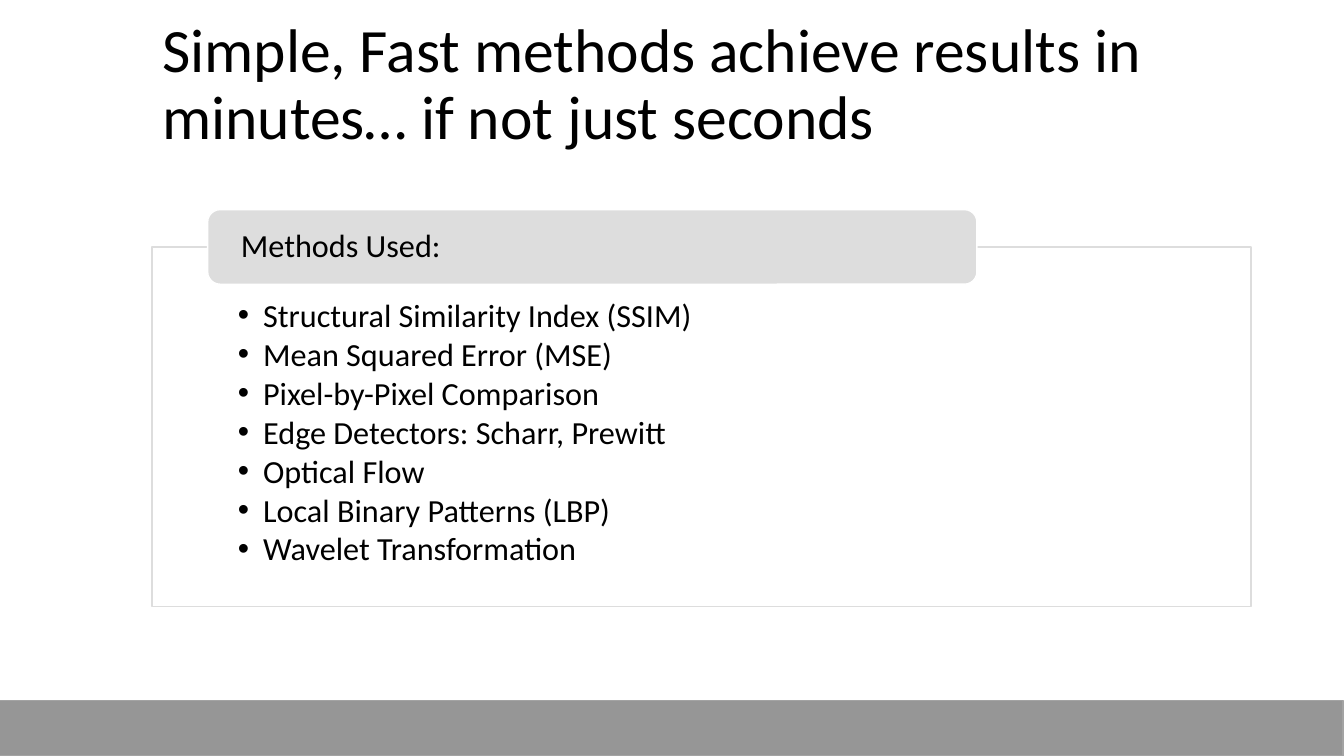
from dataclasses import dataclass

import pptx
import pptx.dml.color
import pptx.enum.shapes
import pptx.enum.text
import pptx.oxml.ns
import pptx.util
from lxml import etree

EMU_PER_PX = 9144  # 100 px to the inch
COLORS = {"text": "000000", "white": "FFFFFF", "pale": "DDDDDD",
          "footer": "969696", "footer_line": "A3A3A3"}
FONT = "Calibri"
SHAPES = pptx.enum.shapes.MSO_SHAPE
ANCHORS = pptx.enum.text.MSO_ANCHOR
METHODS = [
    "Structural Similarity Index (SSIM)",
    "Mean Squared Error (MSE)",
    "Pixel-by-Pixel Comparison",
    "Edge Detectors: Scharr, Prewitt",
    "Optical Flow",
    "Local Binary Patterns (LBP)",
    "Wavelet Transformation",
]


@dataclass(frozen=True)
class Area:
    left: int
    top: int
    width: int
    height: int

    def emu(self) -> list[pptx.util.Emu]:
        return [px(n) for n in (self.left, self.top, self.width, self.height)]


@dataclass(frozen=True)
class Panel:
    area: Area
    kind: SHAPES
    fill: str
    line: str
    opacity: int = 100


PANELS = [
    Panel(Area(-1, 695, 1333, 55), SHAPES.RECTANGLE, "footer", "footer_line"),
    Panel(Area(151, 245, 1090, 357), SHAPES.RECTANGLE, "white", "pale", opacity=90),
    Panel(Area(206, 208, 763, 74), SHAPES.ROUNDED_RECTANGLE, "pale", "white"),
]


def px(length: int) -> pptx.util.Emu:
    return pptx.util.Emu(length * EMU_PER_PX)


def color(name: str) -> pptx.dml.color.RGBColor:
    return pptx.dml.color.RGBColor.from_string(COLORS[name])


def add_panel(page, panel: Panel) -> None:
    shape = page.shapes.add_shape(panel.kind, *panel.area.emu())
    shape.shadow.inherit = False
    shape.fill.solid()
    shape.fill.fore_color.rgb = color(panel.fill)
    shape.line.color.rgb = color(panel.line)
    shape.line.width = pptx.util.Pt(1)
    if panel.opacity < 100:
        tag = pptx.oxml.ns.qn("a:srgbClr")
        fill = shape.fill._xPr.find(pptx.oxml.ns.qn("a:solidFill")).find(tag)
        etree.SubElement(fill, pptx.oxml.ns.qn("a:alpha"), val=str(panel.opacity * 1000))


def add_bullet(para, indent: int) -> None:
    properties = para._p.get_or_add_pPr()
    properties.set("marL", str(px(indent)))
    properties.set("indent", str(px(-indent)))
    etree.SubElement(properties, pptx.oxml.ns.qn("a:buFont"), typeface="Arial")
    etree.SubElement(properties, pptx.oxml.ns.qn("a:buChar"), char="•")


def add_text(page, area: Area, lines: list[str], *, size: int = 23,
             insets: tuple[int, int, int, int] = (10, 5, 10, 5),
             anchor: ANCHORS = ANCHORS.MIDDLE, space_after: int = 0,
             bullet_indent: int = 0) -> None:
    box = page.shapes.add_textbox(*area.emu())
    frame = box.text_frame
    frame.word_wrap = True
    frame.vertical_anchor = anchor
    (frame.margin_left, frame.margin_top,
     frame.margin_right, frame.margin_bottom) = map(px, insets)
    for index, line in enumerate(lines):
        para = frame.add_paragraph() if index else frame.paragraphs[0]
        para.line_spacing = 0.9
        para.space_after = pptx.util.Pt(space_after)
        if bullet_indent:
            add_bullet(para, bullet_indent)
        span = para.add_run()
        span.text = line
        span.font.name = FONT
        span.font.size = pptx.util.Pt(size)
        span.font.color.rgb = color("text")


def main() -> None:
    deck = pptx.Presentation()
    deck.slide_width, deck.slide_height = px(1333), px(750)
    page = deck.slides.add_slide(deck.slide_layouts[6])

    # Footer band, methods frame and its heading tab
    for panel in PANELS:
        add_panel(page, panel)

    # Title
    add_text(page, Area(151, 13, 1090, 145),
             ["Simple, Fast methods achieve results in minutes… if not just seconds"],
             size=44)

    # Methods
    add_text(page, Area(210, 212, 756, 67), ["Methods Used:"], insets=(29, 0, 29, 0))
    add_text(page, Area(151, 245, 1090, 357), METHODS, insets=(85, 52, 85, 18),
             anchor=ANCHORS.TOP, space_after=3, bullet_indent=25)

    deck.save("out.pptx")


if __name__ == "__main__":
    main()
